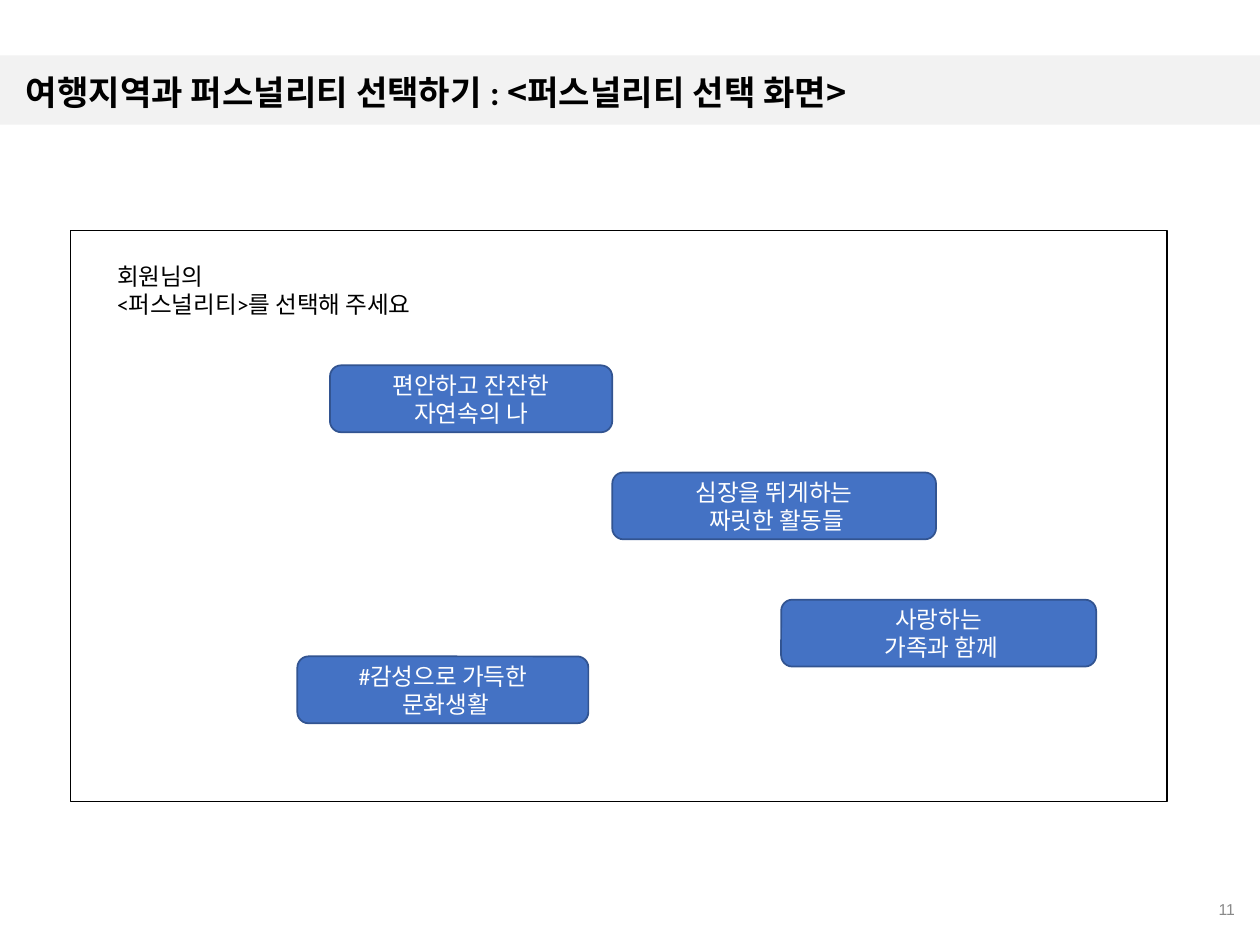
from dataclasses import dataclass

from lxml.etree import SubElement
from pptx import Presentation
from pptx.dml.color import RGBColor
from pptx.enum.shapes import MSO_SHAPE
from pptx.enum.text import MSO_ANCHOR, MSO_AUTO_SIZE, PP_ALIGN
from pptx.oxml.ns import qn
from pptx.slide import Slide
from pptx.util import Pt

COLORS = {
    "black": "000000",
    "white": "FFFFFF",
    "band": "F2F2F2",
    "button": "4472C4",
    "button_line": "325491",
    "page_number": "898989",
}

PERSONALITIES = [
    (188.6, 208.8, 161.3, ["편안하고 잔잔한", "자연속의 나"]),
    (446.4, 342.7, 180, ["사랑하는", " 가족과 함께"]),
    (169.9, 375.1, 166.3, ["#감성으로 가득한", " 문화생활"]),
    (349.9, 270, 185, ["심장을 뛰게하는", " 짜릿한 활동들"]),
]


def color(name):
    """Return the named palette colour."""
    return RGBColor.from_string(COLORS[name])


def add_run(paragraph, text, size=13.5, font="Calibri", fill="black", bold=False):
    """Append formatted text to a paragraph."""
    run = paragraph.add_run()
    run.text = text
    run.font.size = Pt(size)
    run.font.bold = bold
    run.font.color.rgb = color(fill)
    run.font.name = font
    SubElement(run.font._element, qn("a:ea"), typeface="Noto Sans CJK KR")


def write(frame, lines, align=PP_ALIGN.LEFT, anchor=MSO_ANCHOR.TOP, **style):
    """Fill a text frame with one paragraph per line."""
    frame.word_wrap = True
    frame.vertical_anchor = anchor
    for index, line in enumerate(lines):
        paragraph = frame.add_paragraph() if index else frame.paragraphs[0]
        paragraph.alignment = align
        add_run(paragraph, line, **style)


@dataclass
class ScreenBuilder:
    """Hold the slide and its style, and add each kind of element."""

    slide: Slide
    button_height: float = 38.2
    title_size: float = 19.5

    def panel(self, left, top, width, height, fill, line=None, kind=MSO_SHAPE.RECTANGLE):
        """Add a filled shape with an optional outline."""
        shape = self.slide.shapes.add_shape(kind, Pt(left), Pt(top), Pt(width), Pt(height))
        shape.shadow.inherit = False
        shape.fill.solid()
        shape.fill.fore_color.rgb = color(fill)
        if line:
            shape.line.color.rgb = color(line)
            shape.line.width = Pt(1)
        else:
            shape.line.fill.background()
        return shape

    def title(self, heading, screen):
        """Place the title placeholder on its band."""
        band = self.panel(0, 31.7, 720, 39.6, "band")
        title = self.slide.shapes.title
        band._element.addnext(title._element)
        title.left, title.top, title.width, title.height = Pt(9.4), Pt(38.9), Pt(680.4), Pt(30.2)
        frame = title.text_frame
        frame.auto_size = MSO_AUTO_SIZE.NONE
        frame.margin_left = frame.margin_right = Pt(5.4)
        frame.margin_top = frame.margin_bottom = Pt(2.7)
        write(frame, [heading], anchor=MSO_ANCHOR.MIDDLE, size=self.title_size, bold=True)
        paragraph = frame.paragraphs[0]
        paragraph.line_spacing = 0.9
        add_run(paragraph, screen, size=self.title_size, font="Noto Sans CJK KR", bold=True)

    def label(self, left, top, width, height, lines, **style):
        """Add a text box."""
        box = self.slide.shapes.add_textbox(Pt(left), Pt(top), Pt(width), Pt(height))
        write(box.text_frame, lines, **style)

    def button(self, left, top, width, lines):
        """Add a rounded button with a centred caption."""
        shape = self.panel(left, top, width, self.button_height, "button", "button_line",
                           MSO_SHAPE.ROUNDED_RECTANGLE)
        write(shape.text_frame, lines, PP_ALIGN.CENTER, MSO_ANCHOR.MIDDLE, fill="white")


def main():
    """Build and save the personality selection slide."""
    presentation = Presentation()
    presentation.slide_width, presentation.slide_height = Pt(720), Pt(540)
    builder = ScreenBuilder(presentation.slides.add_slide(presentation.slide_layouts[5]))
    builder.title("여행지역과 퍼스널리티 선택하기 : ", "<퍼스널리티 선택 화면>")
    builder.label(550.8, 505.4, 162, 28.8, ["11"], align=PP_ALIGN.RIGHT,
                  anchor=MSO_ANCHOR.MIDDLE, size=9, font="Arial", fill="page_number")
    builder.panel(40.3, 131.8, 626.4, 326.2, "white", "black")
    builder.label(59.8, 146.2, 244.8, 40.3, ["회원님의", "<퍼스널리티>를 선택해 주세요"])
    for personality in PERSONALITIES:
        builder.button(*personality)
    presentation.save("out.pptx")


if __name__ == "__main__":
    main()
